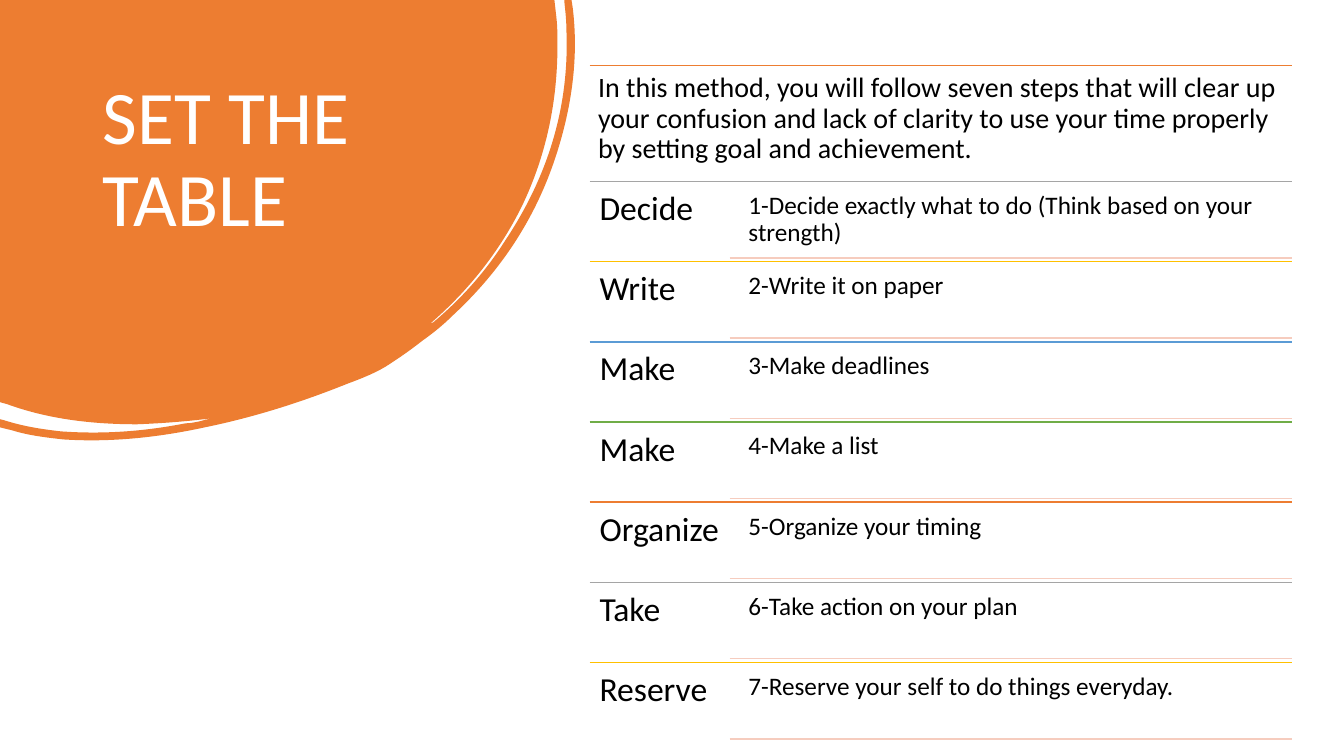
from dataclasses import dataclass

from lxml.etree import SubElement
from pptx import Presentation
from pptx.dml.color import RGBColor
from pptx.enum.shapes import MSO_CONNECTOR
from pptx.enum.text import MSO_ANCHOR, MSO_AUTO_SIZE, PP_ALIGN
from pptx.oxml.ns import qn
from pptx.shapes.autoshape import Shape
from pptx.slide import Slide
from pptx.util import Pt


@dataclass(frozen=True)
class Theme:
    font: str = "Calibri"
    orange: str = "ED7D31"
    gray: str = "A5A5A5"
    gold: str = "FFC000"
    blue: str = "5B9BD5"
    green: str = "70AD47"
    pale: str = "F6CCBE"
    ink: str = "000000"
    white: str = "FFFFFF"
    title_size: float = 54
    intro_size: float = 20
    keyword_size: float = 24
    detail_size: float = 18


@dataclass(frozen=True)
class Box:
    left: float
    top: float
    width: float
    height: float


@dataclass(frozen=True)
class Step:
    keyword: str
    detail: str
    color: str


THEME = Theme()

STEPS = [
    Step("Decide", "1-Decide exactly what to do (Think based on your strength)", THEME.gray),
    Step("Write", "2-Write it on paper", THEME.gold),
    Step("Make", "3-Make deadlines", THEME.blue),
    Step("Make", "4-Make a list", THEME.green),
    Step("Organize", "5-Organize your timing", THEME.orange),
    Step("Take", "6-Take action on your plan", THEME.gray),
    Step("Reserve", "7-Reserve your self to do things everyday.", THEME.gold),
]
INTRO = ("In this method, you will follow seven steps that will clear up your confusion "
         "and lack of clarity to use your time properly by setting goal and achievement.")

# Layout in points
LIST_LEFT, LIST_RIGHT = 421.2, 922.8
INTRO_TOP, STEPS_TOP, STEP_HEIGHT = 46.6, 129.7, 57.25
KEYWORD_WIDTH, DETAIL_LEFT = 100, 529.2
DETAIL_OFFSET, DETAIL_HEIGHT = 2.6, 52

# Blob outline: a pair of numbers is a corner, six numbers are a Bezier curve
BLOB_START = (0, 0)
BLOB_OUTLINE = [
    (396, 0), (397.4, 12.2),
    (398.2, 18.7, 398.2, 25.9, 398.2, 32.4),
    (398.2, 72.7, 390.2, 110.9, 373, 146.9),
    (357.1, 179.3, 334.8, 207.4, 307.4, 231.1),
    (308.9, 231.1, 310.3, 229.7, 311, 229),
    (330.5, 212.4, 347, 193.7, 360.7, 172.1),
    (391, 126.7, 406.8, 77, 404.6, 21.6),
    (404.6, 15.1, 403.9, 8.6, 403.2, 2.2),
    (403.2, 0), (408.2, 0), (409, 5),
    (413.3, 38.9, 409, 73.4, 398.2, 108),
    (383.8, 154.1, 358.6, 193, 322.6, 226.1),
    (316.1, 232.6, 308.9, 238.3, 301.7, 243.4),
    (294.5, 249.1, 287.3, 254.2, 278.6, 259.9),
    (270, 265.7, 259.2, 270, 247.7, 274.3),
    (215.3, 287.3, 181.4, 298.1, 146.2, 305.3),
    (113, 312.5, 79.2, 316.1, 45.4, 313.9),
    (32.4, 312.5, 20.2, 311, 8.6, 307.4),
    (0, 305.3), (0, 299.5), (2.9, 300.2),
    (16.6, 304.6, 30.2, 306.7, 43.9, 308.2),
    (74.2, 310.3, 103, 308.2, 132.5, 302.4),
    (136.1, 302.4, 139, 301.7, 142.6, 301),
    (145.4, 300.2, 148.3, 299.5, 151.2, 298.8),
    (133.9, 301, 115.9, 302.4, 97.9, 303.1),
    (66.2, 303.1, 34.6, 299.5, 5, 288.7),
    (0, 287.3),
]


def draw_blob(slide: Slide) -> None:
    builder = slide.shapes.build_freeform(*map(Pt, BLOB_START))
    builder.add_line_segments(
        [(Pt(segment[-2]), Pt(segment[-1])) for segment in BLOB_OUTLINE], close=True)
    blob = builder.convert_to_shape()
    # Bend the segments that have control points
    for line, segment in zip(list(blob._element.iter(qn("a:lnTo"))), BLOB_OUTLINE):
        if len(segment) == 6:
            curve = line.makeelement(qn("a:cubicBezTo"))
            for x, y in zip(segment[::2], segment[1::2]):
                SubElement(curve, qn("a:pt"), x=str(Pt(x)), y=str(Pt(y)))
            line.getparent().replace(line, curve)
    blob.shadow.inherit = False
    blob.fill.solid()
    blob.fill.fore_color.rgb = RGBColor.from_string(THEME.orange)
    blob.line.fill.background()
    # Send behind the title
    blob._element.getparent().insert(2, blob._element)


def draw_rule(slide: Slide, left: float, y: float, color: str) -> None:
    rule = slide.shapes.add_connector(
        MSO_CONNECTOR.STRAIGHT, Pt(left), Pt(y), Pt(LIST_RIGHT), Pt(y))
    rule.line.width = Pt(1)
    rule.line.color.rgb = RGBColor.from_string(color)
    SubElement(rule._element.spPr, qn("a:effectLst"))


def write(holder: Shape, box: Box, text: str, size: float, color: str,
          inset: float, top_inset: float, right_inset: float) -> None:
    holder.left, holder.top = Pt(box.left), Pt(box.top)
    holder.width, holder.height = Pt(box.width), Pt(box.height)
    frame = holder.text_frame
    frame.text = text
    frame.word_wrap = True
    frame.auto_size = MSO_AUTO_SIZE.NONE
    frame.vertical_anchor = MSO_ANCHOR.TOP
    frame.margin_left, frame.margin_right = Pt(inset), Pt(right_inset)
    frame.margin_top = frame.margin_bottom = Pt(top_inset)
    paragraph = frame.paragraphs[0]
    paragraph.alignment = PP_ALIGN.LEFT
    paragraph.line_spacing = 0.9
    paragraph.space_before = Pt(0)
    paragraph.font.name = THEME.font
    paragraph.font.size = Pt(size)
    paragraph.font.color.rgb = RGBColor.from_string(color)


def draw_text(slide: Slide, box: Box, text: str, size: float,
              inset: float, right_inset: float) -> None:
    holder = slide.shapes.add_textbox(0, 0, 0, 0)
    write(holder, box, text, size, THEME.ink, inset, inset, right_inset)


def draw_step(slide: Slide, step: Step, top: float) -> None:
    detail_top = top + DETAIL_OFFSET
    draw_rule(slide, LIST_LEFT, top, step.color)
    draw_text(slide, Box(LIST_LEFT, top, KEYWORD_WIDTH, STEP_HEIGHT),
              step.keyword, THEME.keyword_size, 7.2, 0)
    draw_text(slide, Box(DETAIL_LEFT, detail_top, LIST_RIGHT - DETAIL_LEFT, DETAIL_HEIGHT),
              step.detail, THEME.detail_size, 5.4, 5.4)
    draw_rule(slide, LIST_LEFT + KEYWORD_WIDTH, detail_top + DETAIL_HEIGHT, THEME.pale)


def main() -> None:
    deck = Presentation()
    deck.slide_width, deck.slide_height = Pt(960), Pt(540)
    slide = deck.slides.add_slide(deck.slide_layouts[1])

    # Title on the blob
    draw_blob(slide)
    write(slide.shapes.title, Box(66.2, 53.3, 253.4, 159.8), "SET THE TABLE",
          THEME.title_size, THEME.white, 7.2, 3.6, 7.2)

    # Introduction, without a bullet
    intro = slide.placeholders[1]
    draw_rule(slide, LIST_LEFT, INTRO_TOP, THEME.orange)
    write(intro, Box(LIST_LEFT, INTRO_TOP, LIST_RIGHT - LIST_LEFT, STEPS_TOP - INTRO_TOP),
          INTRO, THEME.intro_size, THEME.ink, 6, 6, 6)
    properties = intro.text_frame.paragraphs[0]._p.get_or_add_pPr()
    properties.set("marL", "0")
    properties.set("indent", "0")
    bullet = SubElement(properties, qn("a:buNone"))
    properties.find(qn("a:defRPr")).addprevious(bullet)

    # Seven steps
    for number, step in enumerate(STEPS):
        draw_step(slide, step, STEPS_TOP + number * STEP_HEIGHT)

    deck.save("out.pptx")


if __name__ == "__main__":
    main()
